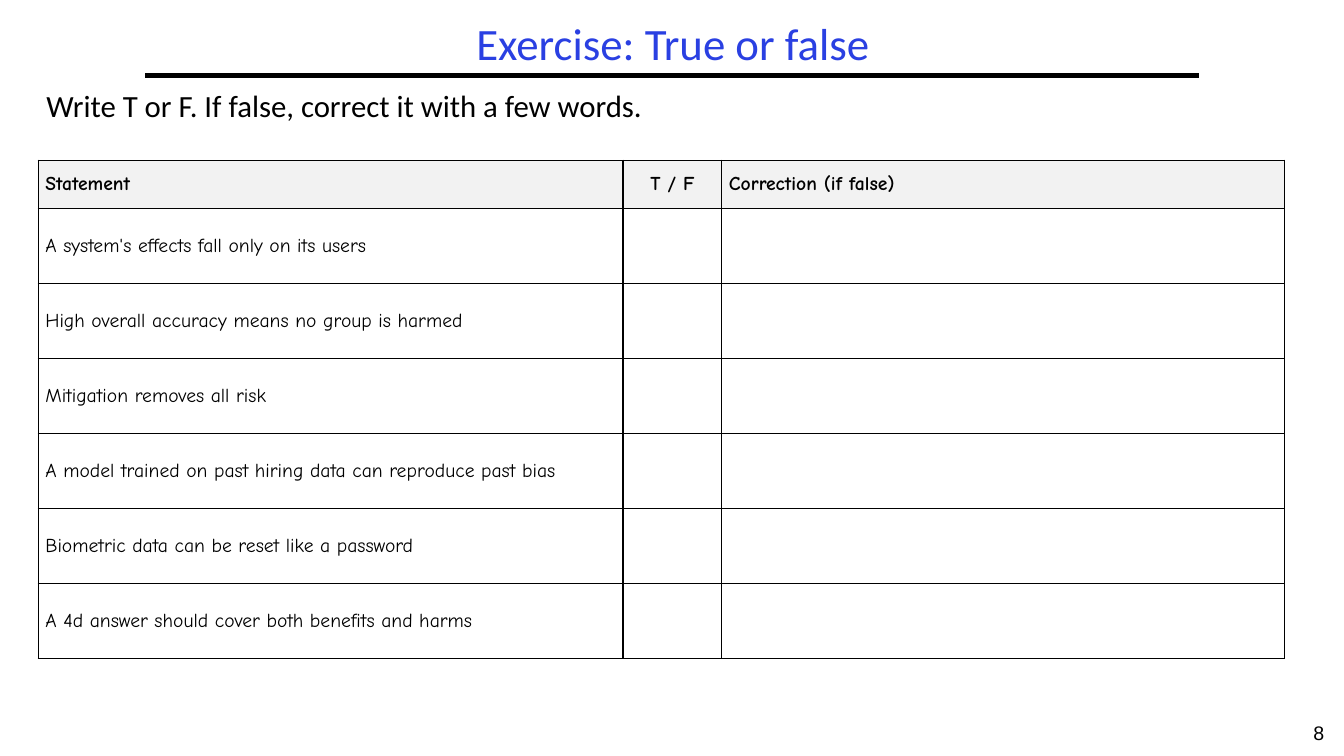
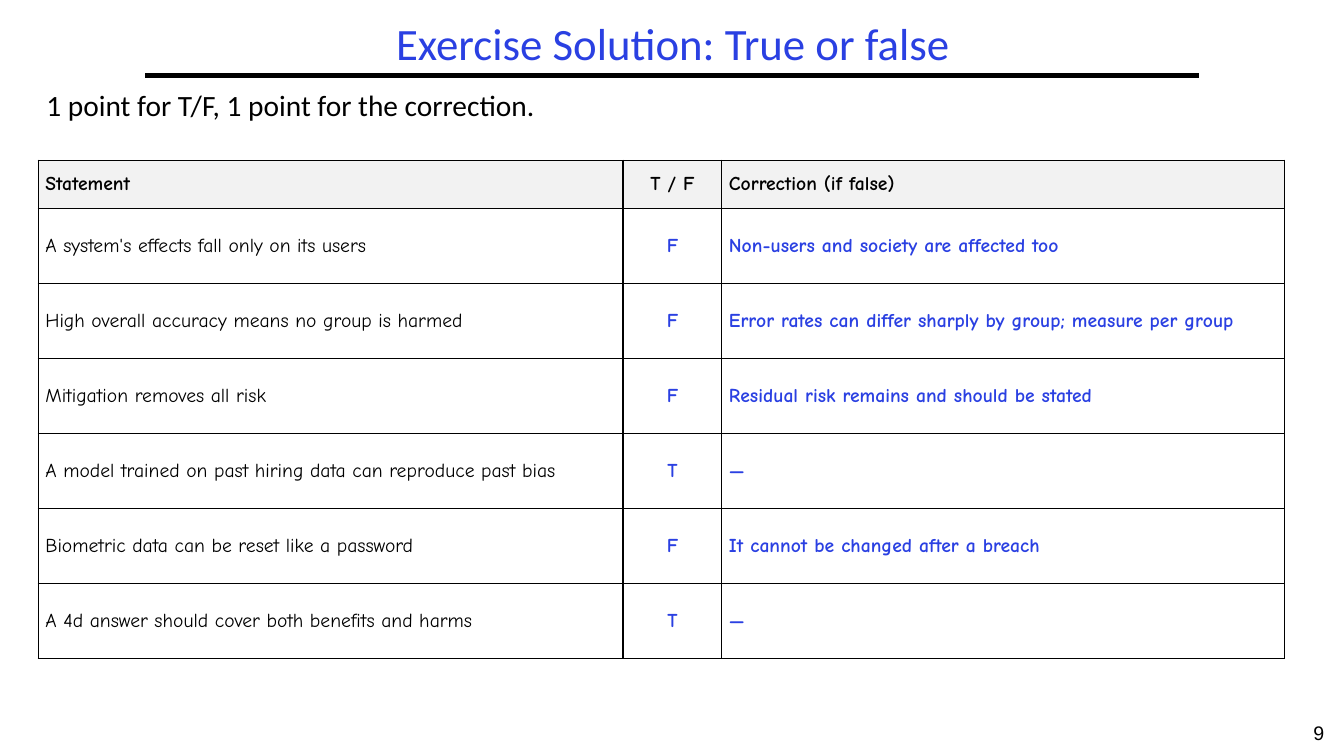
from lxml import etree
from pptx import Presentation
from pptx.dml.color import RGBColor
from pptx.enum import shapes, text
from pptx.oxml import parse_xml
from pptx.oxml.ns import nsdecls, qn
from pptx.util import Inches, Pt

COLORS = {
    "black": "000000",
    "blue": "2A40E2",
    "header": "F2F2F2",
    "white": "FFFFFF",
}
FIRST_NUMBER = 8
COLUMN_WIDTHS = (5.8, 0.98, 5.58)
HEADER_HEIGHT, TABLE_HEIGHT = 0.48, 4.94
HEADERS = ("Statement", "T / F", "Correction (if false)")

# Each statement with its verdict and correction
QUESTIONS = (
    ("A system's effects fall only on its users", "F",
     "Non-users and society are affected too"),
    ("High overall accuracy means no group is harmed", "F",
     "Error rates can differ sharply by group; measure per group"),
    ("Mitigation removes all risk", "F",
     "Residual risk remains and should be stated"),
    ("A model trained on past hiring data can reproduce past bias", "T", "—"),
    ("Biometric data can be reset like a password", "F",
     "It cannot be changed after a breach"),
    ("A 4d answer should cover both benefits and harms", "T", "—"),
)


def rgb(name):
    return RGBColor.from_string(COLORS[name])


def style_font(font, name, size, color, bold=False):
    font.name = name
    font.size = Pt(size)
    font.bold = bold
    font.color.rgb = rgb(color)


def place(shape, left, top, width, height):
    shape.left, shape.top = Inches(left), Inches(top)
    shape.width, shape.height = Inches(width), Inches(height)


# Shared layout: placeholder positions and background
def prepare_layout(presentation):
    layout = presentation.slide_layouts[1]
    title, body = layout.placeholders[0], layout.placeholders[1]
    place(title, 1.44, 0.17, 10.47, 0.58)
    place(body, 0.36, 0.85, 12.58, 0.73)
    layout.background.fill.solid()
    layout.background.fill.fore_color.rgb = rgb("white")
    return layout


def fill_placeholder(shape, wording, size, color, alignment, anchor):
    frame = shape.text_frame
    frame.text = wording
    frame.auto_size = text.MSO_AUTO_SIZE.NONE
    frame.vertical_anchor = anchor
    paragraph = frame.paragraphs[0]
    properties = paragraph._p.get_or_add_pPr()
    properties.set("marL", "0")
    properties.set("indent", "0")
    etree.SubElement(properties, qn("a:buNone"))
    paragraph.alignment = alignment
    paragraph.line_spacing = 0.9
    paragraph.space_before = Pt(0)
    style_font(paragraph.font, "Calibri", size, color)


def add_title_rule(slide):
    rule = slide.shapes.add_connector(
        shapes.MSO_CONNECTOR.STRAIGHT,
        Inches(1.44), Inches(0.75), Inches(11.89), Inches(0.75))
    rule.line.color.rgb = rgb("black")
    rule.line.width = Pt(3)
    etree.SubElement(rule.element.spPr, qn("a:effectLst"))


def add_slide_number(slide, number):
    box = slide.shapes.add_textbox(
        Inches(12.83), Inches(7.1), Inches(0.5), Inches(0.4))
    box.text_frame.word_wrap = True
    paragraph = box.text_frame.paragraphs[0]
    paragraph.alignment = text.PP_ALIGN.CENTER
    paragraph._p.append(parse_xml(
        f'<a:fld {nsdecls("a")} type="slidenum" '
        'id="{B6F15528-21DE-4FAA-801E-634DDDAF4B2B}">'
        '<a:rPr lang="en-US" sz="1400"><a:solidFill>'
        f'<a:srgbClr val="{COLORS["black"]}"/></a:solidFill>'
        '<a:latin typeface="Arial"/></a:rPr>'
        f'<a:t>{number}</a:t></a:fld>'))


# Table
def add_borders(cell):
    properties = cell._tc.get_or_add_tcPr()
    for index, side in enumerate(("lnL", "lnR", "lnT", "lnB")):
        properties.insert(index, parse_xml(
            f'<a:{side} {nsdecls("a")} w="{Pt(1)}"><a:solidFill>'
            f'<a:srgbClr val="{COLORS["black"]}"/></a:solidFill></a:{side}>'))


def fill_cell(cell, wording, color, bold, centered, header):
    cell.text = wording
    cell.vertical_anchor = text.MSO_ANCHOR.MIDDLE
    cell.margin_left = cell.margin_right = Inches(0.07)
    cell.margin_top = cell.margin_bottom = Inches(0.03)
    paragraph = cell.text_frame.paragraphs[0]
    if centered:
        paragraph.alignment = text.PP_ALIGN.CENTER
    style_font(paragraph.font, "Comic Neue", 14, color, bold)
    if header:
        cell.fill.solid()
        cell.fill.fore_color.rgb = rgb("header")
    else:
        cell.fill.background()
    add_borders(cell)


def add_question_table(slide, solved):
    answers = [row if solved else (row[0], "", "") for row in QUESTIONS]
    rows = [HEADERS, *answers]
    table = slide.shapes.add_table(
        len(rows), len(HEADERS), Inches(0.38), Inches(1.59),
        Inches(sum(COLUMN_WIDTHS)), Inches(TABLE_HEIGHT)).table
    table.first_row = table.horz_banding = False
    for column, width in zip(table.columns, COLUMN_WIDTHS):
        column.width = Inches(width)
    row_height = (TABLE_HEIGHT - HEADER_HEIGHT) / len(QUESTIONS)
    for row_index, row in enumerate(rows):
        header = row_index == 0
        table.rows[row_index].height = Inches(
            HEADER_HEIGHT if header else row_height)
        for column_index, wording in enumerate(row):
            answer = not header and column_index > 0
            fill_cell(table.cell(row_index, column_index), wording,
                      color="blue" if answer else "black",
                      bold=header or answer,
                      centered=column_index == 1, header=header)


def add_exercise_slide(presentation, layout, title, instruction, size, solved):
    slide = presentation.slides.add_slide(layout)
    number = FIRST_NUMBER + len(presentation.slides) - 1
    fill_placeholder(slide.shapes.title, title, 32, "blue",
                     text.PP_ALIGN.CENTER, text.MSO_ANCHOR.MIDDLE)
    fill_placeholder(slide.placeholders[1], instruction, size, "black",
                     text.PP_ALIGN.LEFT, text.MSO_ANCHOR.TOP)
    add_title_rule(slide)
    add_slide_number(slide, number)
    add_question_table(slide, solved)


def main():
    presentation = Presentation()
    presentation.slide_width = Inches(13.33)
    presentation.slide_height = Inches(7.5)
    presentation.element.set("firstSlideNum", str(FIRST_NUMBER))
    layout = prepare_layout(presentation)
    add_exercise_slide(
        presentation, layout, "Exercise: True or false",
        "Write T or F. If false, correct it with a few words.", 22, False)
    add_exercise_slide(
        presentation, layout, "Exercise Solution: True or false",
        "1 point for T/F, 1 point for the correction.", 21, True)
    presentation.save("out.pptx")


if __name__ == "__main__":
    main()
